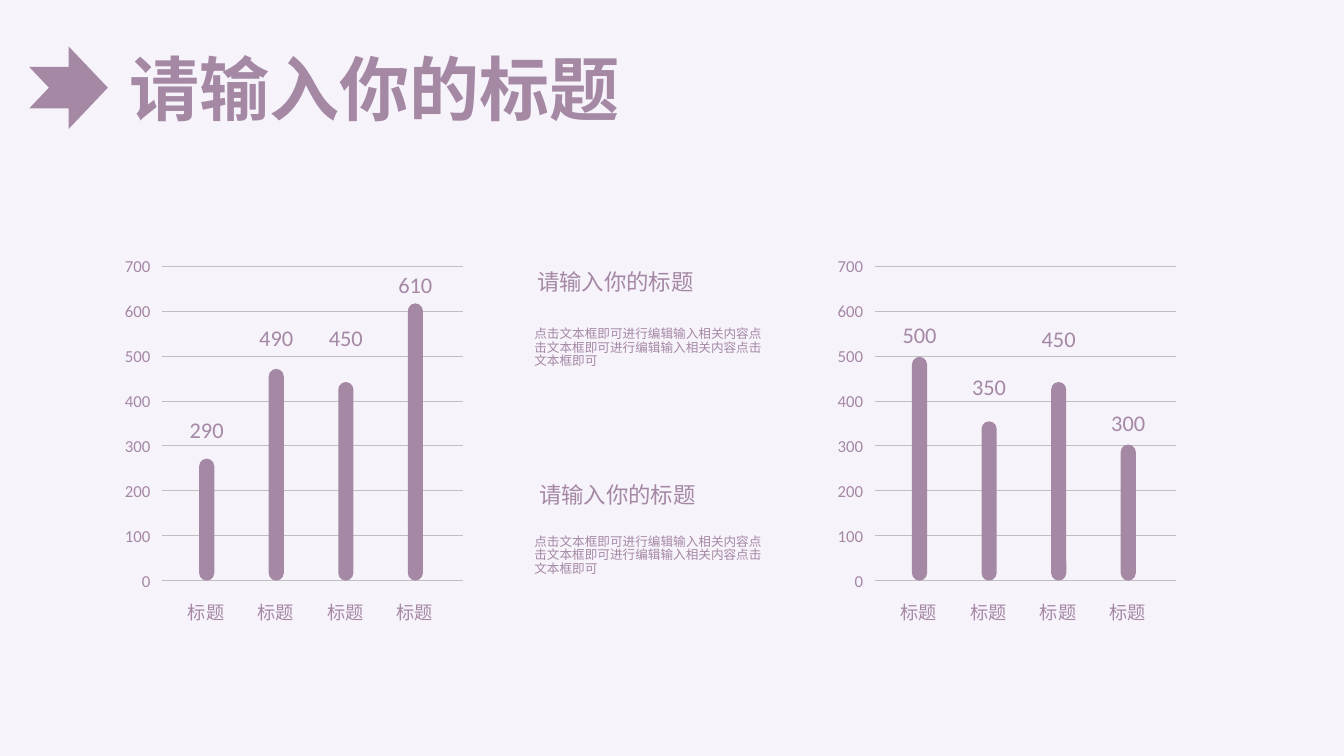
from lxml import etree
from pptx import Presentation
from pptx.dml.color import RGBColor
from pptx.enum.shapes import MSO_CONNECTOR, MSO_SHAPE
from pptx.enum.text import MSO_ANCHOR, MSO_AUTO_SIZE, PP_ALIGN
from pptx.oxml.ns import qn
from pptx.util import Inches, Pt

LEFT, CENTER, RIGHT = PP_ALIGN.LEFT, PP_ALIGN.CENTER, PP_ALIGN.RIGHT
MAUVE = RGBColor(0xA4, 0x88, 0xA4)
LAVENDER = RGBColor(0xF7, 0xF3, 0xFB)
GRID_GREY = RGBColor(0xBF, 0xBF, 0xBF)
CJK_FONT = "Noto Sans CJK SC"
HEADING = "请输入你的标题"
BODY = "点击文本框即可进行编辑输入相关内容" * 2 + "点击文本框即可"

# Chart grid, in inches
BASELINE = 5.76
ROW = 3.12 / 7
COLUMN = 0.69
PLOT_WIDTH = 2.98
FIRST_BAR = 0.44
BAR_WIDTH = 0.15

# Plot left edge, then value, bar height and top of the value label
CHARTS = [
    (1.61, [(290, 1.21, 4.08), (490, 2.1, 3.17), (450, 1.97, 3.17), (610, 2.75, 2.64)]),
    (8.68, [(500, 2.22, 3.14), (350, 1.58, 3.65), (450, 1.97, 3.18), (300, 1.35, 4.01)]),
]
# Heading left, heading top, body top
NOTES = [(5.23, 2.61, 3.25), (5.25, 4.72, 5.31)]


def write(box, text, size, font, align=LEFT, wrap=True, bold=False):
    frame = box.text_frame
    frame.text = text
    frame.word_wrap = wrap
    frame.auto_size = MSO_AUTO_SIZE.NONE
    frame.vertical_anchor = MSO_ANCHOR.TOP
    para = frame.paragraphs[0]
    para.alignment = align
    span = para.runs[0]
    span.font.size = Pt(size)
    span.font.bold = bold
    span.font.name = font
    span.font.color.rgb = MAUVE
    east_asian = etree.SubElement(span.font._element, qn("a:ea"))
    east_asian.set("typeface", CJK_FONT)
    return frame


def add_mauve_shape(kind, left, top, width, height):
    shape = slide.shapes.add_shape(
        kind, Inches(left), Inches(top), Inches(width), Inches(height))
    shape.shadow.inherit = False
    shape.fill.solid()
    shape.fill.fore_color.rgb = MAUVE
    shape.line.fill.background()
    return shape


deck = Presentation()
deck.slide_width, deck.slide_height = Inches(13.33), Inches(7.5)
slide = deck.slides.add_slide(deck.slide_layouts[5])
slide.background.fill.solid()
slide.background.fill.fore_color.rgb = LAVENDER

title = slide.shapes.title
title.left, title.top = Inches(1.18), Inches(0.4)
title.width, title.height = Inches(5.68), Inches(0.94)
write(title, HEADING, 50, "Calibri", bold=True)
add_mauve_shape(MSO_SHAPE.NOTCHED_RIGHT_ARROW, 0.29, 0.46, 0.78, 0.82)

for plot_left, bars in CHARTS:
    for row in range(8):
        y = BASELINE - row * ROW
        line = slide.shapes.add_connector(
            MSO_CONNECTOR.STRAIGHT, Inches(plot_left), Inches(y),
            Inches(plot_left + PLOT_WIDTH), Inches(y))
        line.line.color.rgb = GRID_GREY
        line.line.width = Pt(0.5)
        etree.SubElement(line._element.spPr, qn("a:effectLst"))
        tick = slide.shapes.add_textbox(
            Inches(plot_left - 0.52), Inches(y - 0.15), Inches(0.5), Inches(0.29))
        write(tick, str(row * 100), 12, "Calibri", RIGHT)

    for column, (value, height, label_top) in enumerate(bars):
        middle = plot_left + FIRST_BAR + column * COLUMN
        bar = add_mauve_shape(MSO_SHAPE.ROUNDED_RECTANGLE, middle - BAR_WIDTH / 2,
                              BASELINE - height, BAR_WIDTH, height)
        bar.adjustments[0] = 0.5
        label = slide.shapes.add_textbox(
            Inches(middle - 0.27), Inches(label_top), Inches(0.54), Inches(0.36))
        write(label, str(value), 16, "Calibri", CENTER, wrap=False)
        category = slide.shapes.add_textbox(
            Inches(middle - 0.29), Inches(5.92), Inches(0.57), Inches(0.32))
        write(category, "标题", 13, "Arial", CENTER, wrap=False)

for heading_left, heading_top, body_top in NOTES:
    heading = slide.shapes.add_textbox(
        Inches(heading_left), Inches(heading_top), Inches(2.21), Inches(0.37))
    write(heading, HEADING, 16, CJK_FONT)
    body = slide.shapes.add_textbox(
        Inches(5.3), Inches(body_top), Inches(2.25), Inches(0.76))
    frame = write(body, BODY, 9, CJK_FONT)
    frame.margin_left = frame.margin_right = frame.margin_top = frame.margin_bottom = 0
    frame.paragraphs[0].line_spacing = 0.9

deck.save("out.pptx")
